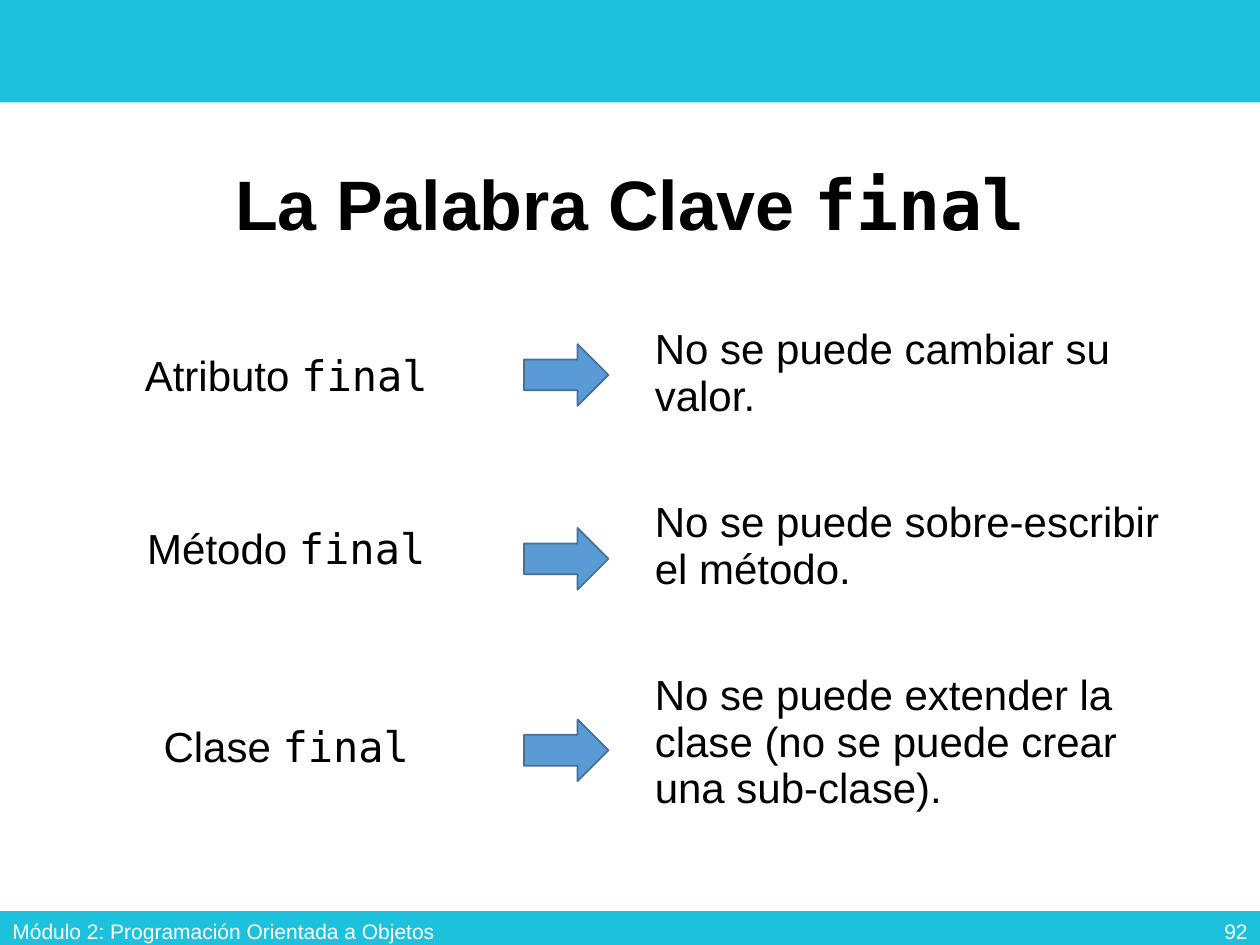
from pptx import Presentation
from pptx.dml.color import RGBColor
from pptx.enum import shapes, text
from pptx.util import Pt

HUES = {"band": "1DC1DC", "white": "FFFFFF", "black": "000000",
        "arrow": "5B9BD5", "edge": "42719B"}
SANS, MONO = "Arial", "DejaVu Sans Mono"
LEFT, MID, RIGHT = text.PP_ALIGN.LEFT, text.PP_ALIGN.CENTER, text.PP_ALIGN.RIGHT

RULES = [
    ("Atributo ", "No se puede cambiar su valor."),
    ("Método ", "No se puede sobre-escribir el método."),
    ("Clase ", "No se puede extender la clase (no se puede crear una sub-clase)."),
]
COLS = [228.2, 89.3, 303.8]
ROWS = [60.6, 34, 60.6, 34, 87.4]
ARROWS = [196.6, 301.7, 411.1]


def hue(name):
    return RGBColor.from_string(HUES[name])


def write(frame, runs, size, tint, align=LEFT, bold=False):
    """Fill the first paragraph with (words, font) runs."""
    para = frame.paragraphs[0]
    para.alignment = align
    para.font.size = Pt(size)
    para.font.bold = bold
    para.font.color.rgb = hue(tint)
    for words, face in runs:
        run = para.add_run()
        run.text = words
        run.font.name = face
    return para


def add_text(slide, box, runs, size, tint, align=LEFT, bold=False):
    frame = slide.shapes.add_textbox(*map(Pt, box)).text_frame
    frame.word_wrap = True
    frame.vertical_anchor = text.MSO_ANCHOR.MIDDLE
    return write(frame, runs, size, tint, align, bold)


def add_form(slide, kind, box, fill, edge=None):
    form = slide.shapes.add_shape(kind, *map(Pt, box))
    form.shadow.inherit = False
    form.fill.solid()
    form.fill.fore_color.rgb = hue(fill)
    if edge:
        form.line.color.rgb = hue(edge)
        form.line.width = Pt(1)
    else:
        form.line.fill.background()


def add_rules(slide, left, top):
    """Table of rules, with an empty row between each two."""
    table = slide.shapes.add_table(
        len(ROWS), len(COLS), Pt(left), Pt(top), Pt(sum(COLS)), Pt(sum(ROWS))).table
    table.first_row = table.horz_banding = False
    for col, wide in zip(table.columns, COLS):
        col.width = Pt(wide)
    for row, high in zip(table.rows, ROWS):
        row.height = Pt(high)
    for cell in table.iter_cells():
        cell.fill.solid()
        cell.fill.fore_color.rgb = hue("white")
    for i, (term, rule) in enumerate(RULES):
        name, note = table.cell(2 * i, 0), table.cell(2 * i, 2)
        name.vertical_anchor = text.MSO_ANCHOR.MIDDLE
        write(name.text_frame, [(term, SANS), ("final", MONO)], 24, "black", MID)
        write(note.text_frame, [(rule, SANS)], 24, "black")


def main():
    deck = Presentation()
    deck.slide_width, deck.slide_height = Pt(720), Pt(540)
    slide = deck.slides.add_slide(deck.slide_layouts[6])
    kinds = shapes.MSO_SHAPE

    # Top and bottom bands
    for top, high in ((0, 58.5), (520.6, 22.3)):
        add_form(slide, kinds.RECTANGLE, (0, top, 720, high), "band")

    # Title
    title = add_text(slide, (49.5, 70.6, 621, 95.8),
                     [("La Palabra Clave ", SANS), ("final", MONO)],
                     40, "black", MID, bold=True)
    title.line_spacing = 0.9

    # Rules and their arrows
    add_rules(slide, 49.5, 182.9)
    for top in ARROWS:
        add_form(slide, kinds.RIGHT_ARROW, (299.5, top, 48.2, 35.3), "arrow", "edge")

    # Footer
    add_text(slide, (558, 517.7, 162, 28.8), [("92", SANS)], 12, "white", RIGHT)
    add_text(slide, (0, 517.7, 278, 28.8),
             [("Módulo 2: Programación Orientada a Objetos", SANS)], 12, "white")

    deck.save("out.pptx")


if __name__ == "__main__":
    main()
